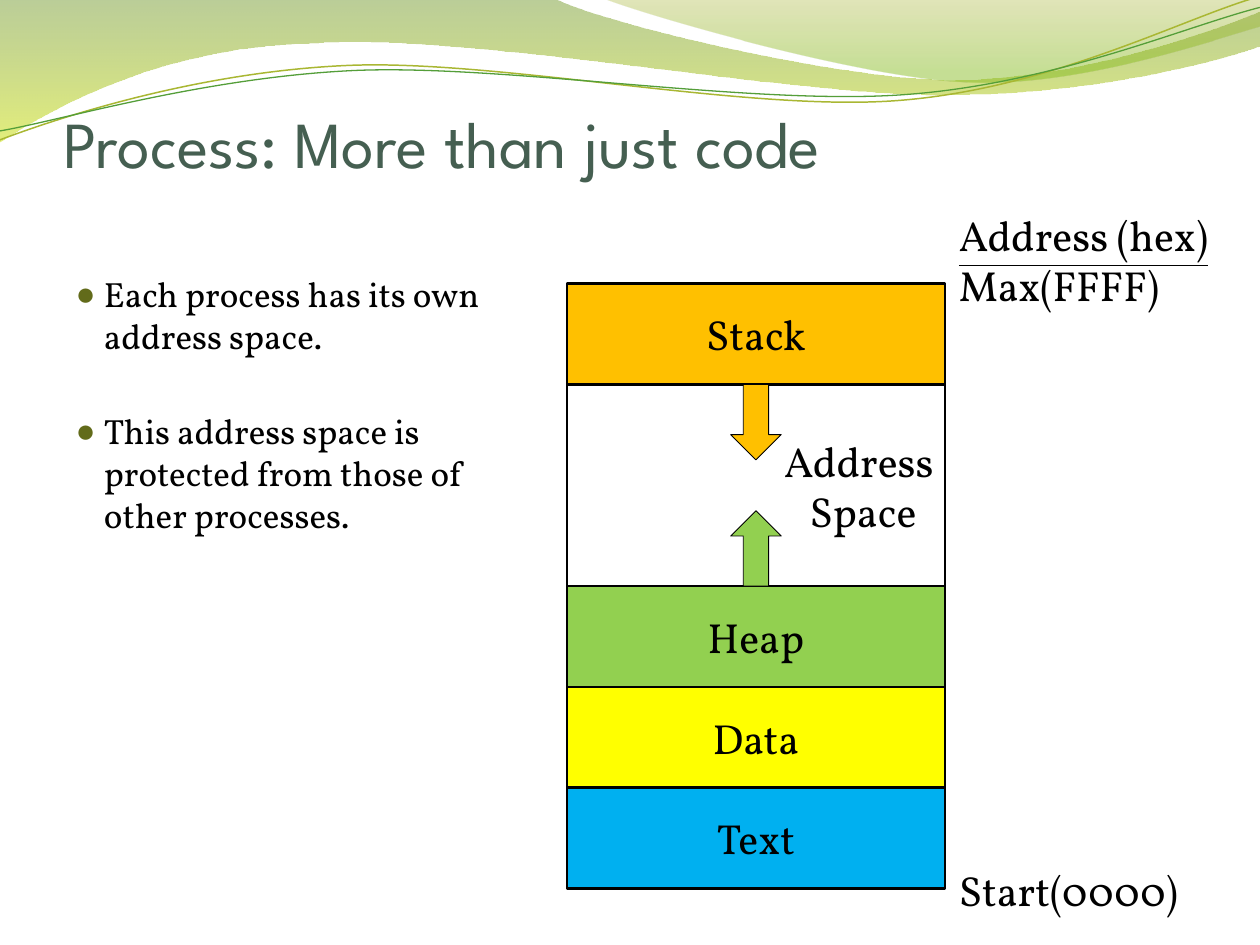
from lxml import etree
from pptx import Presentation
from pptx.dml.color import RGBColor
from pptx.enum.shapes import MSO_SHAPE
from pptx.enum.text import MSO_ANCHOR, MSO_AUTO_SIZE, PP_ALIGN
from pptx.oxml.ns import qn
from pptx.util import Cm, Pt

LEFT, CENTER = PP_ALIGN.LEFT, PP_ALIGN.CENTER
TOP, MIDDLE, BOTTOM = MSO_ANCHOR.TOP, MSO_ANCHOR.MIDDLE, MSO_ANCHOR.BOTTOM
NO_AUTOFIT = MSO_AUTO_SIZE.NONE
RECTANGLE = MSO_SHAPE.RECTANGLE
UP_ARROW, DOWN_ARROW = MSO_SHAPE.UP_ARROW, MSO_SHAPE.DOWN_ARROW

COLORS = {
    "title": "455F51", "black": "000000", "bullet": "626B1A",
    "stack": "FFC000", "heap": "92D050", "data": "FFFF00", "text": "00B0F0",
    "leaf": "69921C", "lime": "CCE10F", "olive": "9BAA1A", "grass": "81BA16",
    "olive line": "A9B733", "green line": "549E39",
}
RGB = {name: RGBColor.from_string(value) for name, value in COLORS.items()}
TITLE_FONT, BODY_FONT = "League Spartan", "Vollkorn"


def write(shape, lines, size, font=BODY_FONT, color="black", align=LEFT,
          anchor=TOP, wrap=False):
    """Fill a shape with one paragraph per line and return the paragraphs."""
    frame = shape.text_frame
    frame.text = "\n".join(lines)
    for name, value in {"auto_size": NO_AUTOFIT, "word_wrap": wrap,
                        "vertical_anchor": anchor}.items():
        setattr(frame, name, value)
    for paragraph in frame.paragraphs:
        paragraph.alignment = align
        run_font = paragraph.runs[0].font
        run_font.name, run_font.size = font, Pt(size)
        run_font.color.rgb = RGB[color]
    return frame.paragraphs


def add_block(shapes, kind, left, top, width, height, color, line_width):
    shape = shapes.add_shape(kind, Cm(left), Cm(top), Cm(width), Cm(height))
    shape.shadow.inherit = False
    if color:
        shape.fill.solid()
        shape.fill.fore_color.rgb = RGB[color]
    else:
        shape.fill.background()
    shape.line.color.rgb = RGB["black"]
    shape.line.width = Pt(line_width)
    return shape


presentation = Presentation()
presentation.slide_width, presentation.slide_height = Cm(25.4), Cm(19.05)
slide = presentation.slides.add_slide(presentation.slide_layouts[1])
shapes = slide.shapes
title, body = slide.placeholders

# Header waves: a one-point segment is straight, a three-point one is a Bezier
# curve. Gradient stops are (position, colour, opacity in percent).
waves = [
    {"start": (0, 0),
     "segments": [
         [(11.18, -0.03)],
         [(12.07, 0.43), (16.84, 1.6), (19.25, 1.6)],
         [(21.67, 1.6), (24.33, 0.66), (25.4, 0.23)],
         [(25.43, 0.91)],
         [(24.97, 1.12), (22.07, 1.93), (18.95, 1.91)],
         [(15.8, 1.91), (9.68, 0.71), (6.53, 0.86)],
         [(3.28, 0.91), (1.17, 2.11), (-0.03, 2.87)]],
     "stops": [(0, "leaf", 45), (1, "lime", 55)]},
    {"start": (12.17, -0.03),
     "segments": [
         [(12.93, 0.28), (17.32, 1.57), (19.51, 1.65)],
         [(21.72, 1.75), (24.41, 0.81), (25.4, 0.53)],
         [(25.4, 0)]],
     "stops": [(0, "olive", 30), (0.8, "grass", 45)]},
    {"start": (0, 2.82),
     "segments": [
         [(1.22, 2.36), (3.99, 1.45), (7.01, 1.32)],
         [(10.03, 1.19), (15.04, 2.26), (18.08, 2.03)],
         [(21.16, 1.8), (23.83, 0.38), (25.32, -0.05)]],
     "line": ("olive line", 0.85)},
    {"start": (0, 2.64),
     "segments": [
         [(1.19, 2.44), (4.14, 1.55), (7.19, 1.42)],
         [(10.21, 1.3), (15.16, 2.13), (18.21, 1.91)],
         [(21.23, 1.7), (23.9, 0.53), (25.4, 0.15)]],
     "line": ("green line", 0.75)},
]
master_front = presentation.slide_master.shapes[0].element
for number, wave in enumerate(waves, start=20):
    start_x, start_y = wave["start"]
    builder = shapes.build_freeform(Cm(start_x), Cm(start_y))
    builder.add_line_segments(
        [(Cm(x), Cm(y)) for segment in wave["segments"] for x, y in segment],
        close="stops" in wave)
    shape = builder.convert_to_shape()
    shape.shadow.inherit = False

    # Join the three straight steps of each curved segment into one Bezier
    steps = iter(list(shape.element.spPr.iter(qn("a:lnTo"))))
    for segment in wave["segments"]:
        first, *others = [next(steps) for _ in segment]
        if others:
            curve = etree.Element(qn("a:cubicBezTo"))
            first.addprevious(curve)
            for step in (first, *others):
                curve.append(step[0])
                step.getparent().remove(step)

    if "stops" in wave:
        shape.line.fill.background()
        shape.fill.gradient()
        shape.fill.gradient_angle = 270
        for stop, (position, color, _) in zip(shape.fill.gradient_stops, wave["stops"]):
            stop.position = position
            stop.color.rgb = RGB[color]
        stop_colors = shape.element.spPr.iter(qn("a:srgbClr"))
        for stop_color, (_, _, opacity) in zip(stop_colors, wave["stops"]):
            etree.SubElement(stop_color, qn("a:alpha"), val=str(opacity * 1000))
    else:
        color, line_width = wave["line"]
        shape.fill.background()
        shape.line.color.rgb = RGB[color]
        shape.line.width = Pt(line_width)

    # The waves belong to the slide master, behind its placeholders
    shape.element.nvSpPr.cNvPr.set("id", str(number))
    master_front.addprevious(shape.element)

# Title and bullet list
for placeholder, box in ((title, (1.27, 1.96, 22.86, 3.18)),
                         (body, (1.27, 5.37, 9.65, 12.19))):
    placeholder.left, placeholder.top, placeholder.width, placeholder.height = map(Cm, box)
write(title, ["Process: More than just code"], 37.5, TITLE_FONT, "title",
      anchor=BOTTOM, wrap=True)
for side, inset in {"left": 0, "top": 0.13, "right": 0, "bottom": 1.48}.items():
    setattr(title.text_frame, f"margin_{side}", Cm(inset))

bullets = write(body, ["Each process has its own address space.",
                       "This address space is protected from those of other processes."],
                20, wrap=True)
for paragraph, space in zip(bullets, (0, 30.3)):
    paragraph.space_before = Pt(space)
    properties = paragraph._p.get_or_add_pPr()
    properties.set("marL", str(Cm(0.57)))
    properties.set("indent", str(-Cm(0.57)))
    bullet_color = etree.SubElement(properties, qn("a:buClr"))
    etree.SubElement(bullet_color, qn("a:srgbClr"), val=COLORS["bullet"])
    etree.SubElement(properties, qn("a:buSzPct"), val="95000")
    etree.SubElement(properties, qn("a:buFont"), typeface="Arial")
    etree.SubElement(properties, qn("a:buChar"), char="●")

# Memory layout, stacked from the highest address down
block_left, block_top, block_width = 11.43, 5.72, 7.62
unit = block_width * 4 / 15
top = block_top
for label, color, units in (("Stack", "stack", 1), (None, None, 2), ("Heap", "heap", 1),
                            ("Data", "data", 1), ("Text", "text", 1)):
    block = add_block(shapes, RECTANGLE, block_left, top, block_width, units * unit,
                      color, 1.5)
    if label:
        write(block, [label], 24, align=CENTER, anchor=MIDDLE)
    top += units * unit

# Stack grows down and heap grows up into the free space
arrow_width, arrow_height = 1.02, 1.52
arrow_left = block_left + (block_width - arrow_width) / 2
free_top = block_top + unit
free_bottom = free_top + 2 * unit
for kind, arrow_top, color in ((UP_ARROW, free_bottom - arrow_height, "heap"),
                               (DOWN_ARROW, free_top, "stack")):
    add_block(shapes, kind, arrow_left, arrow_top, arrow_width, arrow_height, color, 0.5)

space_label = shapes.add_textbox(Cm(15.75), Cm(8.77), Cm(3.3), Cm(unit))
write(space_label, ["Address ", "Space"], 24, align=CENTER, anchor=MIDDLE)

address_label = shapes.add_textbox(Cm(19.08), Cm(4.09), Cm(6.32), Cm(9.5))
heading, _, start = write(address_label, ["Address (hex)", "Max(FFFF)", "Start(0000)"], 24)
heading.runs[0].font.underline = True
start.space_before = Pt(317)

presentation.save("out.pptx")
